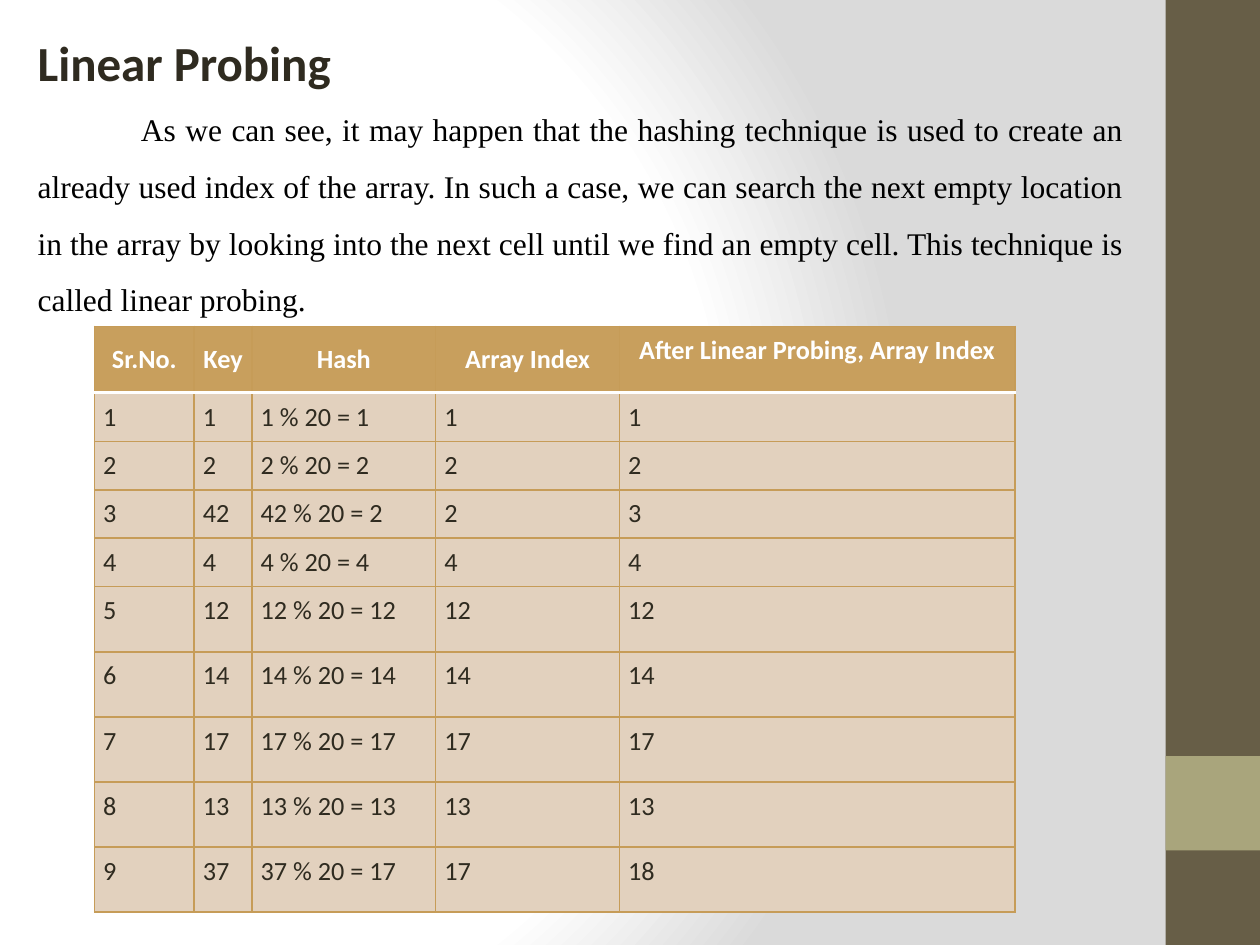
from lxml.etree import SubElement
from pptx import Presentation
from pptx.dml.color import RGBColor
from pptx.enum.shapes import MSO_SHAPE
from pptx.enum.text import MSO_ANCHOR, MSO_AUTO_SIZE, PP_ALIGN
from pptx.oxml import parse_xml
from pptx.oxml.ns import nsdecls, qn
from pptx.util import Pt

DARK, GOLD, WHITE = "2F2B20", "C69C58", "FFFFFF"

HEADERS = ["Sr.No.", "Key", "Hash", "Array Index", "After Linear Probing, Array Index"]
TABLE_SIZE = 20
# Each key with its index after linear probing
PROBES = [(1, 1), (2, 2), (42, 3), (4, 4), (12, 12), (14, 14), (17, 17), (13, 13), (37, 18)]
COLUMN_WIDTHS = [57, 33, 105, 105, 226]
ROW_HEIGHTS = [38] + [27.7] * 4 + [37.2] * 5

BODY = (
    "As we can see, it may happen that the hashing technique is used to create an "
    "already used index of the array. In such a case, we can search the next empty "
    "location in the array by looking into the next cell until we find an empty cell. "
    "This technique is called linear probing."
)


def color(value):
    return RGBColor.from_string(value)


def set_font(para, name, size, value, bold=False):
    para.font.name = name
    para.font.size = Pt(size)
    para.font.color.rgb = color(value)
    para.font.bold = bold


def add_background(page):
    stops = "".join(
        f'<a:gs pos="{percent * 1000}"><a:srgbClr val="{value}"/></a:gs>'
        for percent, value in [(0, WHITE), (75, WHITE), (100, "DADADA")]
    )
    page.element.cSld.insert(0, parse_xml(
        f'<p:bg {nsdecls("p", "a")}><p:bgPr><a:gradFill rotWithShape="1">'
        f'<a:gsLst>{stops}</a:gsLst><a:path path="circle">'
        '<a:fillToRect l="20000" t="50000" r="100000" b="50000"/></a:path>'
        '</a:gradFill><a:effectLst/></p:bgPr></p:bg>'
    ))


def add_sidebar(page, left, top, width, height):
    # Full-height band with a square accent
    for y, part_height, value in [(top, height, "675E47"), (top + 432, width, "A9A57C")]:
        band = page.shapes.add_shape(
            MSO_SHAPE.RECTANGLE, Pt(left), Pt(y), Pt(width), Pt(part_height))
        band.shadow.inherit = False
        band.fill.solid()
        band.fill.fore_color.rgb = color(value)
        band.line.fill.background()


def add_explanation(page, left, top, width, height):
    box = page.shapes.add_textbox(Pt(left), Pt(top), Pt(width), Pt(height))
    frame = box.text_frame
    frame.word_wrap = True
    frame.auto_size = MSO_AUTO_SIZE.SHAPE_TO_FIT_TEXT

    # Heading
    heading = frame.paragraphs[0]
    heading.text = "Linear Probing"
    set_font(heading, "Calibri", 28, DARK, bold=True)

    # Justified paragraph with a first-line indent
    para = frame.add_paragraph()
    para.text = BODY
    para.alignment = PP_ALIGN.JUSTIFY
    para.line_spacing = 1.5
    para._p.get_or_add_pPr().set("indent", str(Pt(59)))
    set_font(para, "Times New Roman", 18, "000000")


def set_borders(cell, top, bottom):
    properties = cell._tc.get_or_add_tcPr()
    sides = [("L", (GOLD, 1)), ("R", (GOLD, 1)), ("T", top), ("B", bottom)]
    for side, (value, width) in sides:
        line = SubElement(properties, qn(f"a:ln{side}"), w=str(Pt(width)))
        SubElement(SubElement(line, qn("a:solidFill")), qn("a:srgbClr"), val=value)


def add_probe_table(page, left, top, width, height):
    rows = [HEADERS] + [
        [number, key, f"{key} % {TABLE_SIZE} = {key % TABLE_SIZE}", key % TABLE_SIZE, index]
        for number, (key, index) in enumerate(PROBES, 1)
    ]
    table = page.shapes.add_table(
        len(rows), len(HEADERS), Pt(left), Pt(top), Pt(width), Pt(height)).table
    for column, column_width in zip(table.columns, COLUMN_WIDTHS):
        column.width = Pt(column_width)
    for row, row_height in zip(table.rows, ROW_HEIGHTS):
        row.height = Pt(row_height)

    thin, thick = (GOLD, 1), (WHITE, 2)
    for r, values in enumerate(rows):
        is_header = r == 0
        for c, value in enumerate(values):
            cell = table.cell(r, c)
            cell.margin_left = cell.margin_right = Pt(5)
            cell.margin_top = cell.margin_bottom = Pt(4.7)
            set_borders(cell, thick if r == 1 else thin, thick if is_header else thin)
            cell.fill.solid()
            cell.fill.fore_color.rgb = color("C89F5D" if is_header else "E2D1BE")
            para = cell.text_frame.paragraphs[0]
            para.text = str(value)
            set_font(para, "Calibri", 15, WHITE if is_header else DARK, bold=is_header)
            if is_header:
                para.alignment = PP_ALIGN.CENTER
                # The last header stays at the top of its cell
                if c < len(HEADERS) - 1:
                    cell.vertical_anchor = MSO_ANCHOR.MIDDLE


def main():
    deck = Presentation()
    deck.slide_width, deck.slide_height = Pt(720), Pt(540)
    page = deck.slides.add_slide(deck.slide_layouts[6])
    add_background(page)
    add_sidebar(page, 666, 0, 54, 540)
    add_explanation(page, 14.4, 15, 635, 172)
    add_probe_table(page, 54, 186.5, sum(COLUMN_WIDTHS), sum(ROW_HEIGHTS))
    deck.save("out.pptx")


if __name__ == "__main__":
    main()
